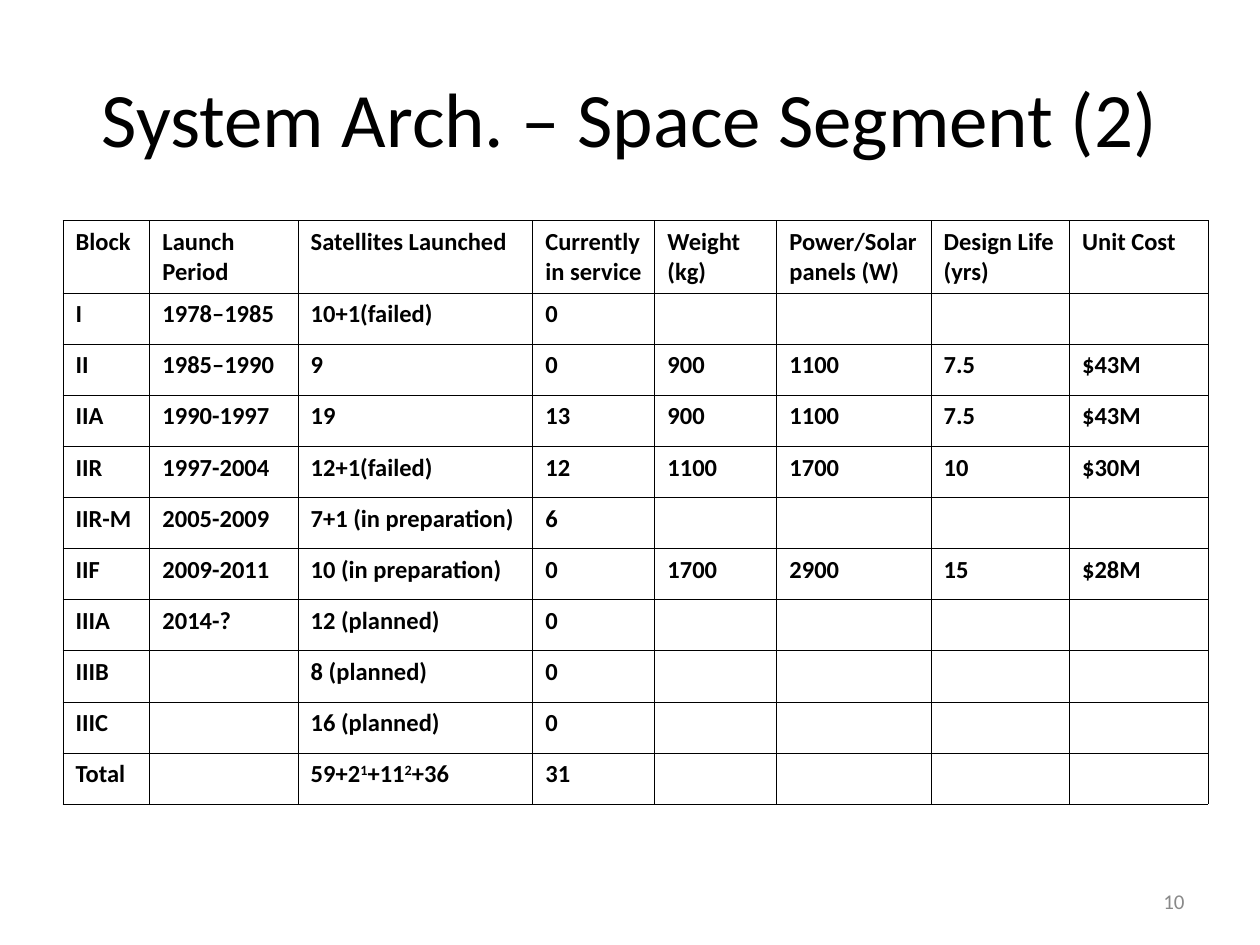
from lxml import etree
from pptx import Presentation
from pptx.dml.color import RGBColor
from pptx.enum.text import MSO_ANCHOR, PP_ALIGN
from pptx.oxml.ns import qn
from pptx.util import Cm, Pt

MIDDLE = MSO_ANCHOR.MIDDLE
LEFT, CENTER, RIGHT = PP_ALIGN.LEFT, PP_ALIGN.CENTER, PP_ALIGN.RIGHT
BLACK, GRAY = "000000", "898989"
BORDER_WIDTH = Pt(0.45)

TITLE_FORMAT = {"name": "Calibri", "size": Pt(44), "bold": False}
CELL_FORMAT = {"name": "Calibri", "size": Pt(14), "bold": True}
NUMBER_FORMAT = {"name": "Calibri", "size": Pt(12), "bold": False}


def rgb(value):
    return RGBColor.from_string(value)


def write(frame, text, font_format, color, align):
    """Fill a text frame; parts between carets become superscripts."""
    paragraph = frame.paragraphs[0]
    paragraph.alignment = align
    for index, part in enumerate(text.split("^")):
        run = paragraph.add_run()
        run.text = part
        for attribute, value in font_format.items():
            setattr(run.font, attribute, value)
        run.font.color.rgb = rgb(color)
        if index % 2:
            run._r.get_or_add_rPr().set("baseline", "30000")


prs = Presentation()
prs.slide_width, prs.slide_height = Cm(25.4), Cm(19.05)
slide = prs.slides.add_slide(prs.slide_layouts[6])

# Title and page number
captions = [
    ("System Arch. – Space Segment (2)", (1.27, 0.76, 22.86, 3.18),
     TITLE_FORMAT, BLACK, CENTER),
    ("10", (18.2, 17.66, 5.93, 1.01), NUMBER_FORMAT, GRAY, RIGHT),
]
for text, place, font_format, color, align in captions:
    caption = slide.shapes.add_textbox(*[Cm(length) for length in place])
    caption.text_frame.word_wrap = True
    caption.text_frame.vertical_anchor = MIDDLE
    write(caption.text_frame, text, font_format, color, align)

# Satellite blocks: trailing cells without a value are left out
blocks = [
    ["Block", "Launch Period", "Satellites Launched", "Currently in service",
     "Weight (kg)", "Power/Solar panels (W)", "Design Life (yrs)", "Unit Cost"],
    ["I", "1978–1985", "10+1(failed)", "0"],
    ["II", "1985–1990", "9", "0", "900", "1100", "7.5", "$43M"],
    ["IIA", "1990-1997", "19", "13", "900", "1100", "7.5", "$43M"],
    ["IIR", "1997-2004", "12+1(failed)", "12", "1100", "1700", "10", "$30M"],
    ["IIR-M", "2005-2009", "7+1 (in preparation)", "6"],
    ["IIF", "2009-2011", "10 (in preparation)", "0", "1700", "2900", "15", "$28M"],
    ["IIIA", "2014-?", "12 (planned)", "0"],
    ["IIIB", "", "8 (planned)", "0"],
    ["IIIC", "", "16 (planned)", "0"],
    ["Total", "", "59+2^1^+11^2^+36", "31"],
]
column_widths = [1.75, 2.99, 4.73, 2.46, 2.46, 3.11, 2.79, 2.79]
header_height, row_height = 1.46, 1.03

satellites = slide.shapes.add_table(
    len(blocks), len(column_widths), Cm(1.27), Cm(4.45), Cm(sum(column_widths)),
    Cm(header_height + row_height * (len(blocks) - 1))).table
satellites.first_row = False
satellites.horz_banding = False
for column, width in zip(satellites.columns, column_widths):
    column.width = Cm(width)
for index, row in enumerate(satellites.rows):
    row.height = Cm(row_height if index else header_height)

for row, values in zip(satellites.rows, blocks):
    for index, cell in enumerate(row.cells):
        # Thin black borders come before the fill in the cell properties
        properties = cell._tc.get_or_add_tcPr()
        for side in ("lnL", "lnR", "lnT", "lnB"):
            line = etree.SubElement(properties, qn(f"a:{side}"), w=str(BORDER_WIDTH))
            line_fill = etree.SubElement(line, qn("a:solidFill"))
            etree.SubElement(line_fill, qn("a:srgbClr"), val=BLACK)
        cell.fill.background()
        if index < len(values) and values[index]:
            write(cell.text_frame, values[index], CELL_FORMAT, BLACK, LEFT)

prs.save("out.pptx")
